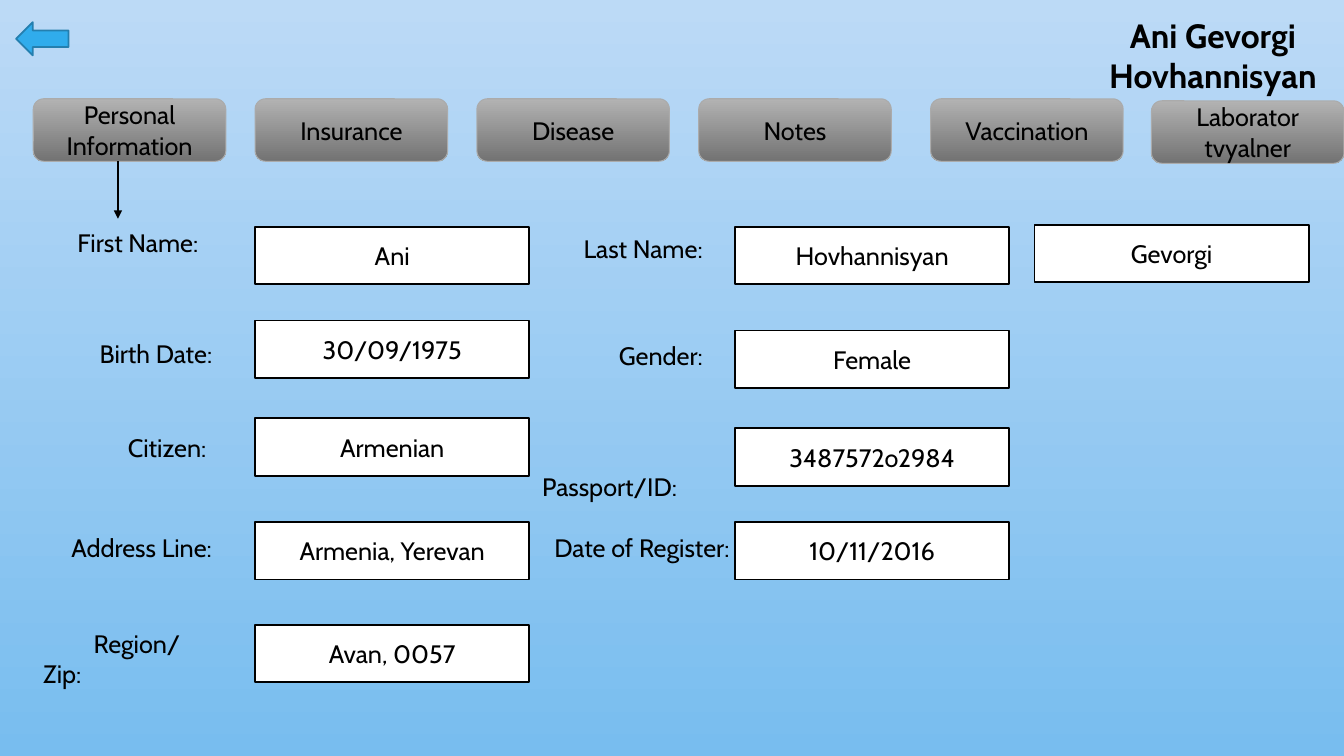
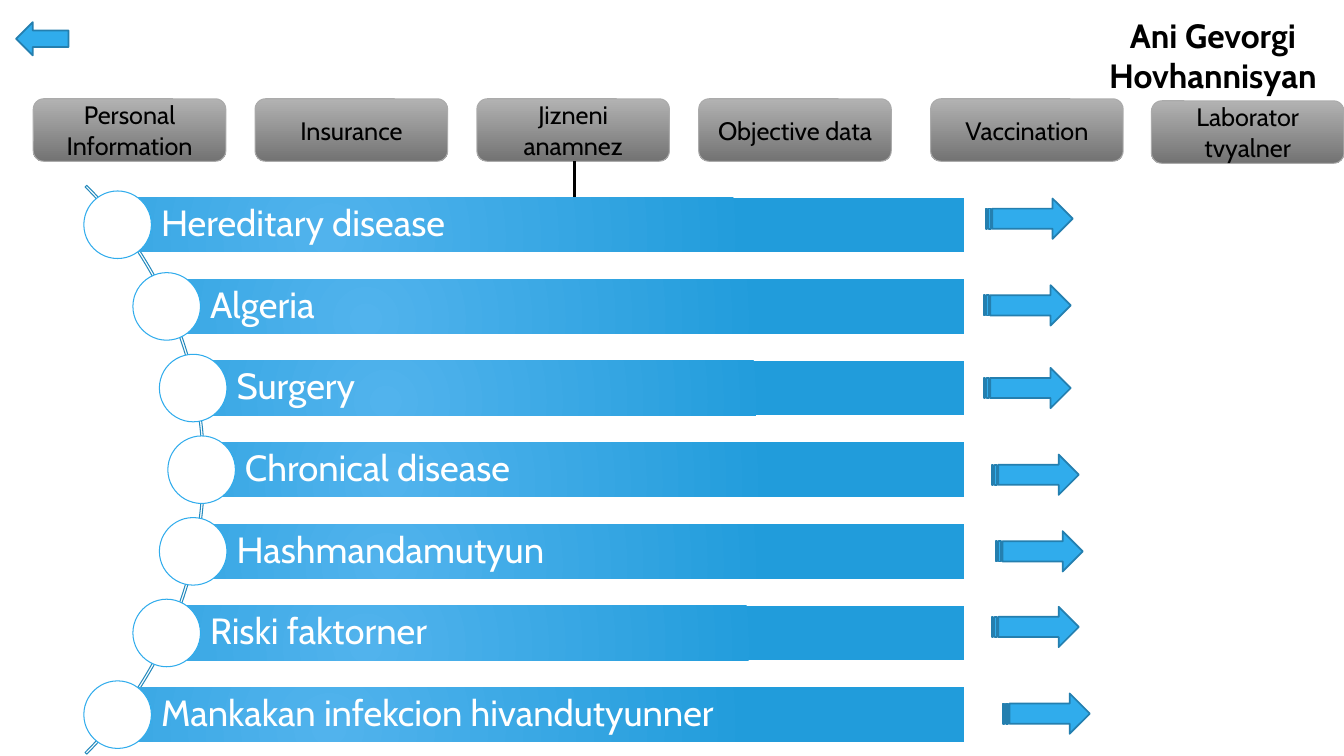
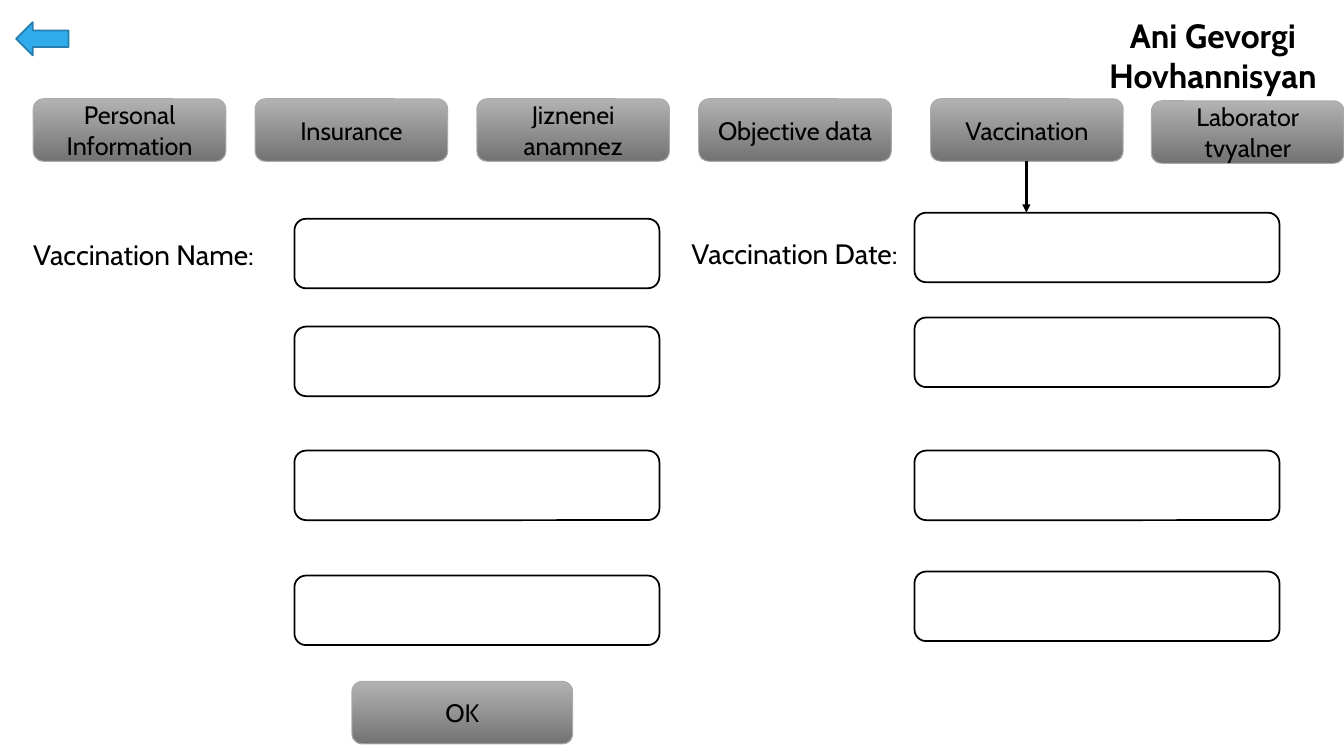
from dataclasses import dataclass
from math import sqrt

from lxml.etree import SubElement
from pptx import Presentation
from pptx.dml.color import RGBColor
from pptx.enum.shapes import MSO_CONNECTOR, MSO_SHAPE
from pptx.enum.text import MSO_ANCHOR, PP_ALIGN
from pptx.oxml.ns import qn
from pptx.util import Inches, Pt


@dataclass(frozen=True)
class Theme:
    font: str = "Cabin"
    black: str = "000000"
    white: str = "FFFFFF"
    accent: str = "30ACEC"
    accent_line: str = "247FAF"
    arc_line: str = "268ABD"
    tab_line: str = "ABABAB"
    tab_fill: tuple = ("B2B2B2", "737373")
    bar_fill: tuple = ("51B3ED", "219CDB")
    sky: tuple = ("BCDAF6", "78BDEF")
    body: int = 18
    label: int = 20
    title: int = 24
    bar: int = 26


T = Theme()

TAB_LEFTS = (0.33, 2.53, 4.73, 6.93, 9.23, 11.42)
TAB_TOP, TAB_W, TAB_H = 0.98, 1.91, 0.62
FIELD_W, FIELD_H = 2.72, 0.57

PERSONAL_FIELDS = (
    (2.53, 2.25, "Ani"),
    (2.53, 3.18, "30/09/1975"),
    (2.53, 4.15, "Armenian"),
    (2.53, 5.18, "Armenia, Yerevan"),
    (2.53, 6.2, "Avan, 0057"),
    (7.29, 2.25, "Hovhannisyan"),
    (7.29, 3.28, "Female"),
    (7.29, 4.25, "3487572o2984"),
    (7.29, 5.18, "10/11/2016"),
    (10.26, 2.23, "Gevorgi"),
)
PERSONAL_LABELS = (
    (0.67, 2.21, "First Name:"),
    (0.89, 3.31, "Birth Date:"),
    (1.17, 4.24, "Citizen:"),
    (0.61, 5.23, "Address Line:"),
    (5.69, 2.27, "Last Name:"),
    (6.04, 3.33, "Gender:"),
    (5.28, 4.63, "Passport/ID:"),
    (5.4, 5.23, "Date of Register:"),
)
# Each topic with the left and top of its arrow
TOPICS = (
    ("Hereditary disease", 9.78, 1.97),
    ("Algeria", 9.76, 2.83),
    ("Surgery", 9.76, 3.65),
    ("Chronical disease", 9.84, 4.51),
    ("Hashmandamutyun", 9.88, 5.27),
    ("Riski faktorner", 9.84, 6.02),
    ("Mankakan infekcion hivandutyunner", 9.95, 6.88),
)
VACCINE_COLUMNS = (
    (2.92, (2.17, 3.24, 4.47, 5.71)),
    (9.07, (2.11, 3.15, 4.47, 5.67)),
)


def set_fill(fill, color, radial=False):
    """Fill with one colour, a pair of gradient colours, or nothing."""
    if color is None:
        fill.background()
    elif isinstance(color, str):
        fill.solid()
        fill.fore_color.rgb = RGBColor.from_string(color)
    else:
        fill.gradient()
        fill.gradient_angle = 270
        for stop, stop_color in zip(fill.gradient_stops, color):
            stop.color.rgb = RGBColor.from_string(stop_color)


def make_radial(s):
    """Turn the linear gradient of a shape into a circular one."""
    grad = s._element.spPr.find(qn("a:gradFill"))
    grad.remove(grad.find(qn("a:lin")))
    circle = SubElement(grad, qn("a:path"), {"path": "circle"})
    SubElement(circle, qn("a:fillToRect"),
               {"l": "50000", "t": "100000", "r": "100000", "b": "50000"})


def set_text(s, text, size=T.body, color=T.black, bold=False,
             align=PP_ALIGN.CENTER, anchor=MSO_ANCHOR.MIDDLE, indent=0):
    tf = s.text_frame
    tf.word_wrap = True
    tf.vertical_anchor = anchor
    p = tf.paragraphs[0]
    p.alignment = align
    if indent:
        p._p.get_or_add_pPr().set("indent", str(Inches(indent)))
    r = p.add_run()
    r.text = text
    r.font.name = T.font
    r.font.size = Pt(size)
    r.font.bold = bold
    r.font.color.rgb = RGBColor.from_string(color)


def add_box(slide, kind, x, y, w, h, fill, line=None, width=1.25):
    s = slide.shapes.add_shape(kind, Inches(x), Inches(y), Inches(w), Inches(h))
    s.shadow.inherit = False
    set_fill(s.fill, fill)
    set_fill(s.line.fill, line)
    if line:
        s.line.width = Pt(width)
    return s


def add_label(slide, x, y, text, w=2.2, h=0.4, **fmt):
    s = slide.shapes.add_textbox(Inches(x), Inches(y), Inches(w), Inches(h))
    set_text(s, text, **{"align": PP_ALIGN.LEFT, "anchor": MSO_ANCHOR.TOP, **fmt})


def add_button(slide, x, y, text, w=TAB_W):
    s = add_box(slide, MSO_SHAPE.ROUNDED_RECTANGLE, x, y, w, TAB_H,
                T.tab_fill, T.tab_line, 0.75)
    set_text(s, text)


def add_pointer(slide, x, end):
    """Arrow down from the tab that is open."""
    c = slide.shapes.add_connector(MSO_CONNECTOR.STRAIGHT, Inches(x),
                                   Inches(TAB_TOP + TAB_H), Inches(x), Inches(end))
    c.line.color.rgb = RGBColor.from_string(T.black)
    c.line.width = Pt(1.75)
    SubElement(c.line._get_or_add_ln(), qn("a:tailEnd"), {"type": "triangle"})
    SubElement(c._element.spPr, qn("a:effectLst"))


def add_page(prs, third, fourth, background, pointer):
    """Add a slide with the back arrow, patient name, tabs and pointer."""
    slide = prs.slides.add_slide(prs.slide_layouts[6])
    set_fill(slide.background.fill, background)
    add_label(slide, 10.73, 0.1, "Ani Gevorgi Hovhannisyan", w=2.6, h=0.91,
              size=T.title, bold=True, align=PP_ALIGN.CENTER)
    add_box(slide, MSO_SHAPE.LEFT_ARROW, 0.16, 0.22, 0.52, 0.33,
            T.accent, T.accent_line)
    tabs = ("Personal Information", "Insurance", third, fourth, "Vaccination",
            "Laborator tvyalner")
    for x, text in zip(TAB_LEFTS, tabs):
        add_button(slide, x, 1 if x == TAB_LEFTS[-1] else TAB_TOP, text)
    add_pointer(slide, *pointer)
    return slide


def build_personal(prs):
    slide = add_page(prs, "Disease", "Notes", T.sky, (1.17, 2.17))
    for x, y, text in PERSONAL_FIELDS:
        s = add_box(slide, MSO_SHAPE.RECTANGLE, x, y, FIELD_W, FIELD_H,
                    T.white, T.black)
        set_text(s, text)
    for x, y, text in PERSONAL_LABELS:
        add_label(slide, x, y, text)
    add_label(slide, 0.33, 6.18, "Region/Zip:", w=1.8, indent=0.5)


def build_anamnesis(prs):
    slide = add_page(prs, "Jizneni anamnez", "Objective data", T.white, (5.7, 2.17))
    arc_x, arc_y, arc_size, radius = -1.96, 4.66, 7.98, 3.96
    pitch, bar_h, bar_right, dot = 0.81, 0.54, 9.56, 0.67
    arc = add_box(slide, MSO_SHAPE.BLOCK_ARC, arc_x - arc_size / 2,
                  arc_y - arc_size / 2, arc_size, arc_size, None, T.arc_line, 0.75)
    for i, value in enumerate((189, 27, 0.003)):
        arc.adjustments[i] = value
    for i, (text, arrow_x, arrow_y) in enumerate(TOPICS):
        dy = (i - len(TOPICS) // 2) * pitch
        x, y = arc_x + sqrt(radius ** 2 - dy ** 2), arc_y + dy
        bar = add_box(slide, MSO_SHAPE.RECTANGLE, x, y - bar_h / 2,
                      bar_right - x, bar_h, T.bar_fill)
        make_radial(bar)
        set_text(bar, text, size=T.bar, color=T.white, align=PP_ALIGN.LEFT)
        tf = bar.text_frame
        tf.margin_left = Inches(0.43)
        tf.margin_top = tf.margin_right = tf.margin_bottom = Inches(0.07)
        tf.paragraphs[0].line_spacing = 0.9
        add_box(slide, MSO_SHAPE.OVAL, x - dot / 2, y - dot / 2, dot, dot,
                T.white, T.accent, 0.75)
        add_box(slide, MSO_SHAPE.STRIPED_RIGHT_ARROW, arrow_x, arrow_y, 0.86, 0.4,
                T.accent, T.accent_line)


def build_vaccination(prs):
    slide = add_page(prs, "Jiznenei anamnez", "Objective data", T.white, (10.18, 2.11))
    for x, tops in VACCINE_COLUMNS:
        for y in tops:
            add_box(slide, MSO_SHAPE.ROUNDED_RECTANGLE, x, y, 3.62, 0.69,
                    T.white, T.black)
    add_label(slide, 0.23, 2.31, "Vaccination Name:", w=2.47, size=T.label)
    add_label(slide, 6.76, 2.3, "Vaccination Date:", w=2.47, size=T.label)
    add_button(slide, 3.49, 6.76, "OK", w=2.19)


def main():
    prs = Presentation()
    prs.slide_width, prs.slide_height = Inches(13.33), Inches(7.5)
    build_personal(prs)
    build_anamnesis(prs)
    build_vaccination(prs)
    prs.save("out.pptx")


if __name__ == "__main__":
    main()
